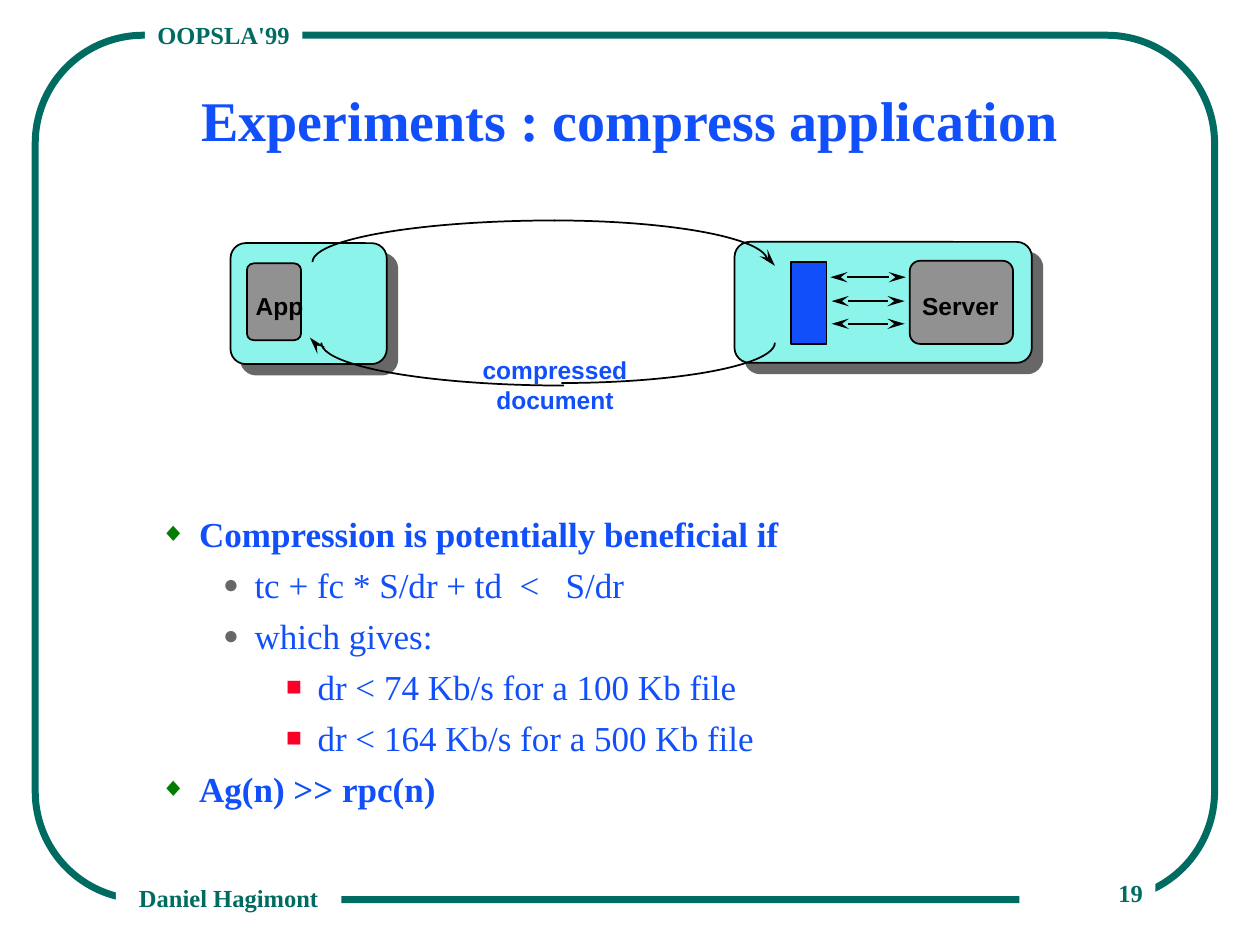
import pptx
import pptx.util
import pptx.dml.color
import pptx.enum.shapes
import pptx.enum.text
import pptx.oxml
import pptx.oxml.ns
from lxml import etree

Inches = pptx.util.Inches
Pt = pptx.util.Pt
RGB = pptx.dml.color.RGBColor.from_string
SHAPE = pptx.enum.shapes.MSO_SHAPE
ALIGN = pptx.enum.text.PP_ALIGN
ANCHOR = pptx.enum.text.MSO_ANCHOR
qn = pptx.oxml.ns.qn

COLORS = {
    "paper": "FFFFFF", "frame": "006B61", "text": "114FFB", "black": "000000",
    "machine": "8CF4EA", "process": "919191", "shade": "676767",
    "diamond": "037C03", "dot": "676767", "square": "FC0128",
}


def write(frame, text, size=14, font="Times New Roman", color="text", bold=True,
          align=ALIGN.LEFT, anchor=ANCHOR.TOP, wrap=True, level=0, before=0,
          indent=None, bullet=None, new=False):
    frame.word_wrap = wrap
    frame.auto_size = pptx.enum.text.MSO_AUTO_SIZE.NONE
    frame.vertical_anchor = anchor
    paragraph = frame.add_paragraph() if new else frame.paragraphs[0]
    paragraph.alignment = align
    paragraph.level = level
    paragraph.space_before = Pt(before)
    paragraph.space_after = Pt(0)
    if bullet:
        mark, mark_color = bullet
        props = paragraph._p.get_or_add_pPr()
        left, hang = indent
        props.set("marL", str(Inches(left)))
        props.set("indent", str(Inches(-hang)))
        tint = etree.SubElement(props, qn("a:buClr"))
        etree.SubElement(tint, qn("a:srgbClr"), val=COLORS[mark_color])
        etree.SubElement(props, qn("a:buSzPct"), val="75000")
        etree.SubElement(props, qn("a:buChar"), char=mark)
    run = paragraph.add_run()
    run.text = text
    run.font.size = Pt(size)
    run.font.name = font
    run.font.bold = bold
    run.font.color.rgb = RGB(COLORS[color])


def draw(kind, box, fill=None, line=None, width=1, shaded=False):
    shape = slide.shapes.add_shape(kind, *map(Inches, box))
    shape.shadow.inherit = False
    if fill:
        shape.fill.solid()
        shape.fill.fore_color.rgb = RGB(COLORS[fill])
    else:
        shape.fill.background()
    if line:
        shape.line.color.rgb = RGB(COLORS[line])
        shape.line.width = Pt(width)
    else:
        shape.line.fill.background()
    if kind == SHAPE.ROUNDED_RECTANGLE:
        shape.adjustments[0] = 0.125
    if shaded:
        effects = shape._element.spPr.find(qn("a:effectLst"))
        shadow = etree.SubElement(effects, qn("a:outerShdw"), blurRad="0",
                                  dist=str(Pt(8.5)), dir=str(45 * 60000),
                                  algn="ctr", rotWithShape="0")
        etree.SubElement(shadow, qn("a:srgbClr"), val=COLORS["shade"])
    return shape


deck = pptx.Presentation()
deck.slide_width, deck.slide_height = Inches(10), Inches(7.5)
slide = deck.slides.add_slide(deck.slide_layouts[1])
slide.background.fill.solid()
slide.background.fill.fore_color.rgb = RGB(COLORS["paper"])

draw(SHAPE.ROUNDED_RECTANGLE, (0.28, 0.28, 9.36, 6.86), line="frame", width=4)
for label, box, align, anchor, wrap in [
    ("OOPSLA'99", (1.15, 0.11, 1.25, 0.33), ALIGN.LEFT, ANCHOR.TOP, False),
    ("19", (8.09, 6.92, 1.08, 0.33), ALIGN.RIGHT, ANCHOR.MIDDLE, True),
    ("Daniel Hagimont", (0.92, 6.96, 1.79, 0.26), ALIGN.CENTER, ANCHOR.TOP, True),
]:
    write(draw(SHAPE.RECTANGLE, box, fill="paper").text_frame, label,
          color="frame", align=align, anchor=anchor, wrap=wrap)

title = slide.shapes.title
title.left, title.top, title.width, title.height = map(Inches, (0.75, 0.5, 8.5, 0.76))
write(title.text_frame, "Experiments : compress application", size=32,
      align=ALIGN.CENTER, anchor=ANCHOR.BOTTOM)

conditions = slide.placeholders[1]
conditions.left, conditions.top, conditions.width, conditions.height = map(
    Inches, (0.67, 4.02, 8.5, 2.71))
bullets = {1: ("◆", "diamond"), 2: ("●", "dot"), 3: ("■", "square")}
indents = {1: (0.81, 0.31), 2: (1.25, 0.25), 3: (1.75, 0.25)}
for index, (level, text) in enumerate([
    (1, "Compression is potentially beneficial if"),
    (2, "tc + fc * S/dr + td  <   S/dr"),
    (2, "which gives:"),
    (3, "dr < 74 Kb/s for a 100 Kb file"),
    (3, "dr < 164 Kb/s for a 500 Kb file"),
    (1, "Ag(n) >> rpc(n)"),
]):
    write(conditions.text_frame, text, size=20, bold=level == 1, level=level,
          before=5.1 if index else 0, indent=indents[level],
          bullet=bullets[level], new=index > 0)

for kind, box, fill, shaded in [
    (SHAPE.ROUNDED_RECTANGLE, (1.83, 1.93, 1.24, 0.96), "machine", True),
    (SHAPE.ROUNDED_RECTANGLE, (1.96, 2.09, 0.43, 0.61), "process", False),
    (SHAPE.ROUNDED_RECTANGLE, (5.83, 1.92, 2.36, 0.96), "machine", True),
    (SHAPE.RECTANGLE, (6.28, 2.08, 0.28, 0.65), "text", False),
    (SHAPE.ROUNDED_RECTANGLE, (7.22, 2.07, 0.82, 0.66), "process", False),
]:
    draw(kind, box, fill=fill, line="black", shaded=shaded)

for label, box, color, align, wrap in [
    ("App", (1.93, 2.26, 0.58, 0.33), "black", ALIGN.LEFT, False),
    ("Server", (7.22, 2.26, 0.81, 0.33), "black", ALIGN.LEFT, False),
    ("compressed document", (3.62, 2.77, 1.57, 0.57), "text", ALIGN.CENTER, True),
]:
    caption = slide.shapes.add_textbox(*map(Inches, box))
    write(caption.text_frame, label, font="Arial", color=color, align=align, wrap=wrap)

for box, start in [
    ((2.7, 1.75, 3.39, 0.64), 270),
    ((2.48, 1.75, 3.85, 0.66), 180),
    ((2.76, 2.4, 3.39, 0.64), 0),
    ((2.55, 2.38, 3.85, 0.68), 90),
]:
    arc = draw(SHAPE.ARC, box, line="black")
    arc.adjustments[0] = start * 0.6
    arc.adjustments[1] = (start + 90) % 360 * 0.6

for x1, y1, x2, y2, ends in [
    (6.59, 2.2, 7.19, 2.2, ("headEnd", "tailEnd")),
    (6.6, 2.39, 7.18, 2.39, ("headEnd", "tailEnd")),
    (6.6, 2.57, 7.18, 2.57, ("headEnd", "tailEnd")),
    (6.08, 2.03, 6.15, 2.11, ("tailEnd",)),
    (2.53, 2.76, 2.46, 2.68, ("tailEnd",)),
]:
    arrow = slide.shapes.add_connector(
        pptx.enum.shapes.MSO_CONNECTOR.STRAIGHT, *map(Inches, (x1, y1, x2, y2)))
    arrow.line.color.rgb = RGB(COLORS["black"])
    arrow.line.width = Pt(1)
    for end in ends:
        etree.SubElement(arrow.line._get_or_add_ln(), qn("a:" + end),
                         type="stealth", w="med", len="lg")
    etree.SubElement(arrow._element.spPr, qn("a:effectLst"))

deck.save("out.pptx")
